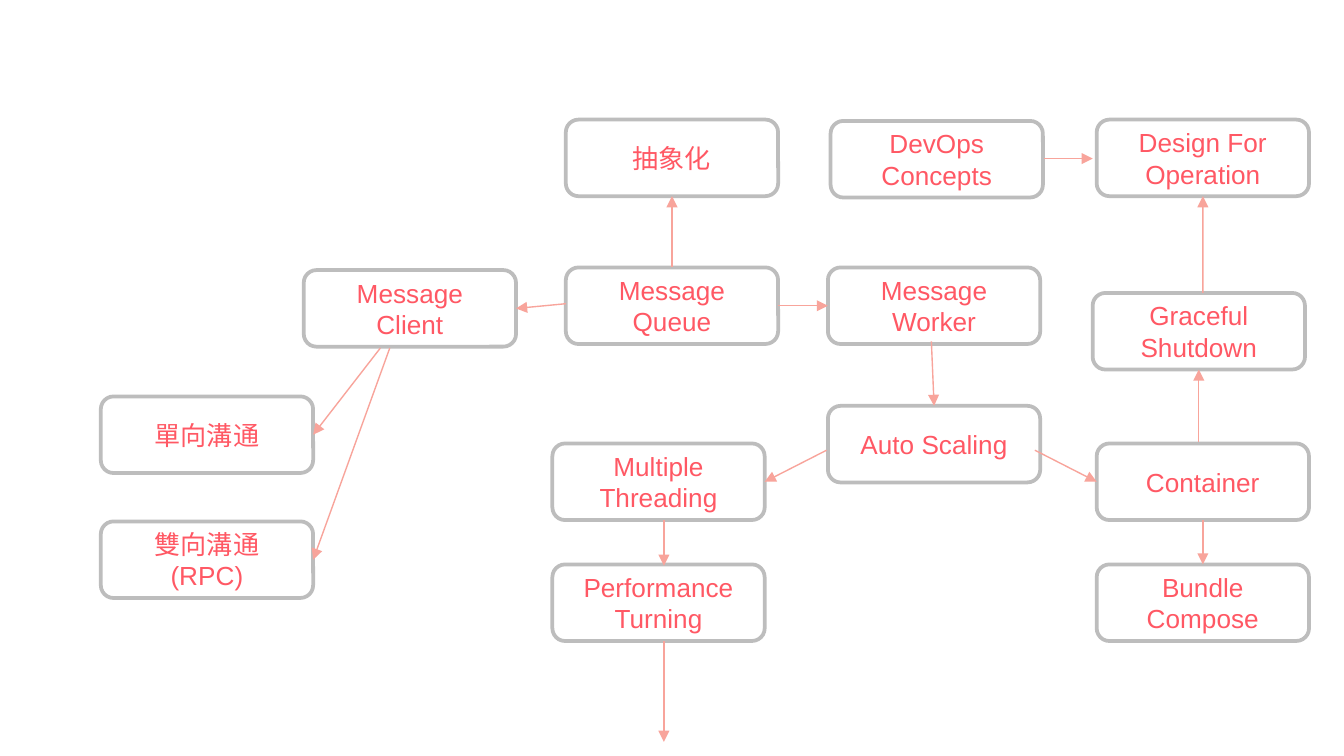
from lxml import etree
from pptx import Presentation
from pptx.dml.color import RGBColor
from pptx.enum.shapes import MSO_CONNECTOR as Connector, MSO_SHAPE as Shape
from pptx.enum.text import MSO_ANCHOR as Anchor, PP_ALIGN as Align
from pptx.oxml.ns import qn
from pptx.util import Inches, Pt

WHITE = RGBColor(0xFF, 0xFF, 0xFF)
BORDER = RGBColor(0xBD, 0xBD, 0xBD)
CORAL = RGBColor(0xFF, 0x58, 0x64)
ARROW = RGBColor(0xF8, 0xA4, 0x9B)

SLIDE_WIDTH = 10
SLIDE_HEIGHT = SLIDE_WIDTH * 9 / 16
BOX_WIDTH, BOX_HEIGHT = 1.58, 0.57
TOP, LEFT, BOTTOM, RIGHT = range(4)

# Grid lines in inches: left edges of columns, top edges of rows
COLUMNS = {"modes": 0.75, "client": 2.26, "threads": 4.11, "queue": 4.21,
           "worker": 6.16, "operation": 8.16}
ROWS = {"concepts": 0.89, "messages": 1.99, "scaling": 3.02,
        "runtime": 3.3, "tuning": 4.2}

# Topic: text, column, row, small offset from the grid (x, y)
TOPICS = {
    "queue": ("Message Queue", "queue", "messages", 0, 0),
    "abstraction": ("抽象化", "queue", "concepts", 0, 0),
    "one_way": ("單向溝通", "modes", "scaling", 0, -0.07),
    "two_way": ("雙向溝通 (RPC)", "modes", "runtime", 0, 0.58),
    "client": ("Message Client", "client", "messages", 0, 0.02),
    "worker": ("Message Worker", "worker", "messages", 0, 0),
    "threading": ("Multiple Threading", "threads", "runtime", 0, 0),
    "shutdown": ("Graceful Shutdown", "operation", "messages", -0.03, 0.19),
    "container": ("Container", "operation", "runtime", 0, 0),
    "compose": ("Bundle Compose", "operation", "tuning", 0, 0),
    "scaling": ("Auto Scaling", "worker", "scaling", 0, 0),
    "devops": ("DevOps Concepts", "worker", "concepts", 0.02, 0.01),
    "operation": ("Design For Operation", "operation", "concepts", 0, 0),
    "performance": ("Performance Turning", "threads", "tuning", 0, 0),
}

# Each end is either (topic, side) or a free point (x, y)
ARROWS = [
    (("queue", TOP), ("abstraction", BOTTOM)),
    ((4.21, 2.26), ("client", RIGHT)),
    (("queue", RIGHT), ("worker", LEFT)),
    ((2.83, 2.59), ("one_way", RIGHT)),
    ((2.9, 2.59), ("two_way", RIGHT)),
    ((6.93, 2.54), ("scaling", TOP)),
    ((6.15, 3.35), ("threading", RIGHT)),
    ((7.7, 3.35), ("container", LEFT)),
    (("container", BOTTOM), ("compose", TOP)),
    ((8.92, 3.29), ("shutdown", BOTTOM)),
    ((7.77, 1.18), (8.13, 1.18)),
    ((8.95, 2.18), ("operation", BOTTOM)),
    ((4.94, 3.87), (4.94, 4.21)),
    ((4.94, 4.77), (4.94, 5.52)),
]


def add_topic(slide, text, column, row, shift_x, shift_y):
    """Add a rounded box with a centred label."""
    shape = slide.shapes.add_shape(
        Shape.ROUNDED_RECTANGLE,
        Inches(COLUMNS[column] + shift_x), Inches(ROWS[row] + shift_y),
        Inches(BOX_WIDTH), Inches(BOX_HEIGHT))
    shape.shadow.inherit = False
    shape.fill.solid()
    shape.fill.fore_color.rgb = WHITE
    shape.line.color.rgb = BORDER
    shape.line.width = Pt(2)

    frame = shape.text_frame
    frame.word_wrap = True
    frame.vertical_anchor = Anchor.MIDDLE
    paragraph = frame.paragraphs[0]
    paragraph.alignment = Align.CENTER
    run = paragraph.add_run()
    run.text = text
    run.font.name = "Arial"
    run.font.size = Pt(14)
    run.font.color.rgb = CORAL
    return shape


def place_end(end, boxes, connect, move):
    """Join an end to a box side, or move it to a free point."""
    first, second = end
    if first in boxes:
        connect(boxes[first], second)
    else:
        move(Inches(first), Inches(second))


def add_arrow(slide, boxes, start, finish):
    """Add a thin arrow with a triangular head at its finish."""
    arrow = slide.shapes.add_connector(Connector.STRAIGHT, 0, 0, 0, 0)

    def move_start(x, y):
        arrow.begin_x, arrow.begin_y = x, y

    def move_finish(x, y):
        arrow.end_x, arrow.end_y = x, y

    place_end(start, boxes, arrow.begin_connect, move_start)
    place_end(finish, boxes, arrow.end_connect, move_finish)
    arrow.line.color.rgb = ARROW
    arrow.line.width = Pt(0.75)

    # Arrowhead, and no shadow
    properties = arrow.element.spPr
    etree.SubElement(properties.find(qn("a:ln")), qn("a:tailEnd"), type="triangle")
    etree.SubElement(properties, qn("a:effectLst"))


def main():
    presentation = Presentation()
    presentation.slide_width = Inches(SLIDE_WIDTH)
    presentation.slide_height = Inches(SLIDE_HEIGHT)
    slide = presentation.slides.add_slide(presentation.slide_layouts[6])

    # Topic boxes
    boxes = {name: add_topic(slide, *topic) for name, topic in TOPICS.items()}

    # Arrows between topics
    for start, finish in ARROWS:
        add_arrow(slide, boxes, start, finish)

    presentation.save("out.pptx")


if __name__ == "__main__":
    main()
